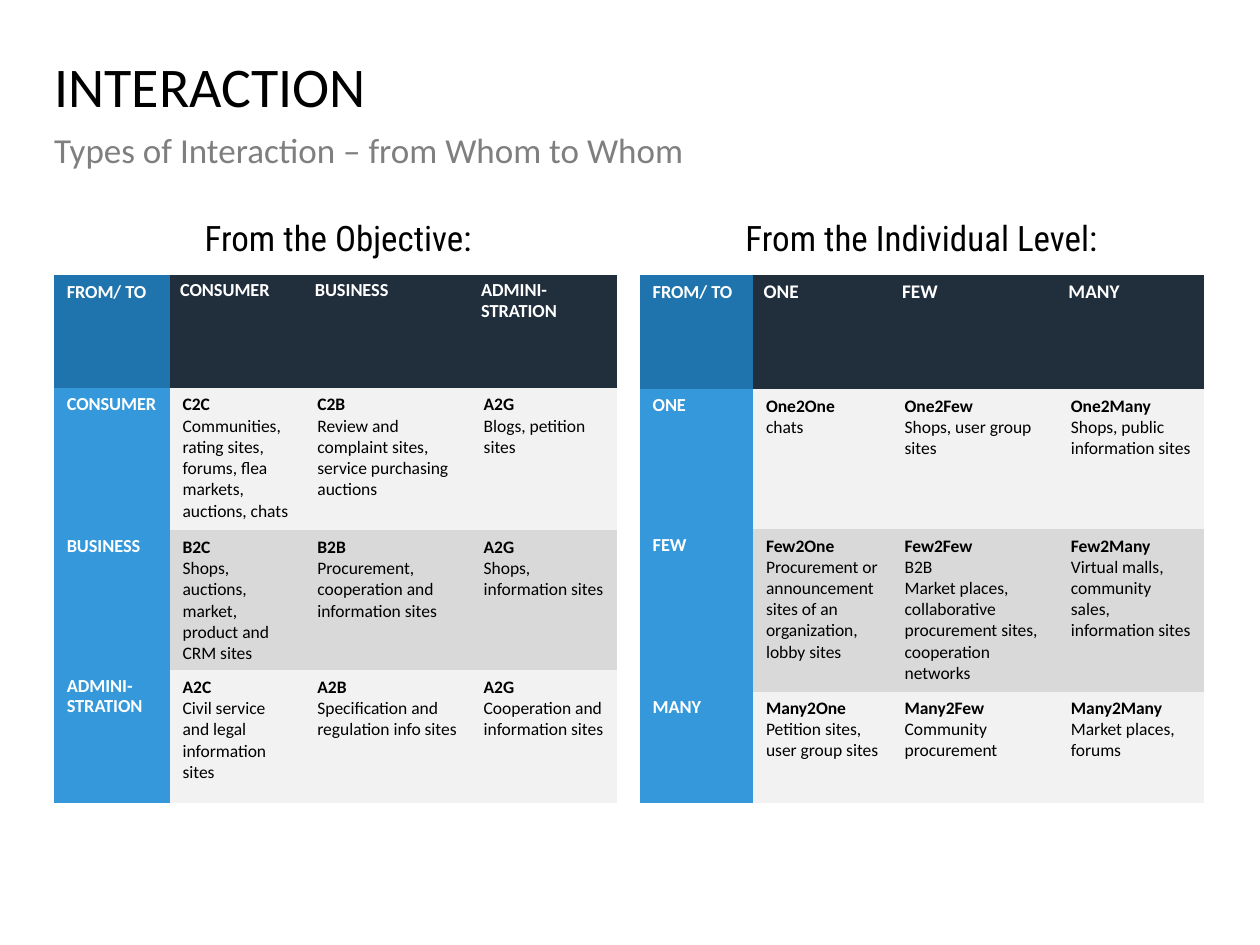
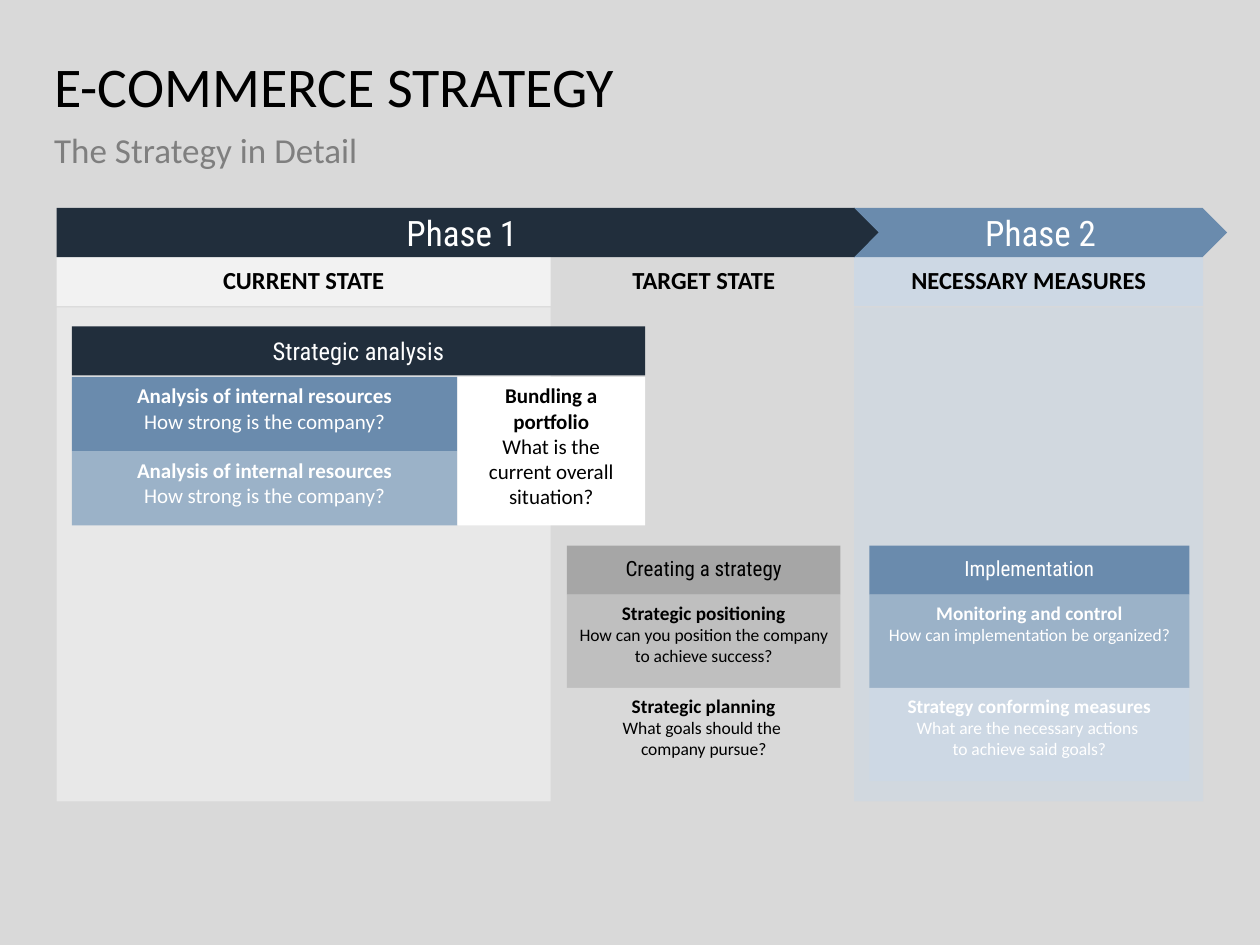
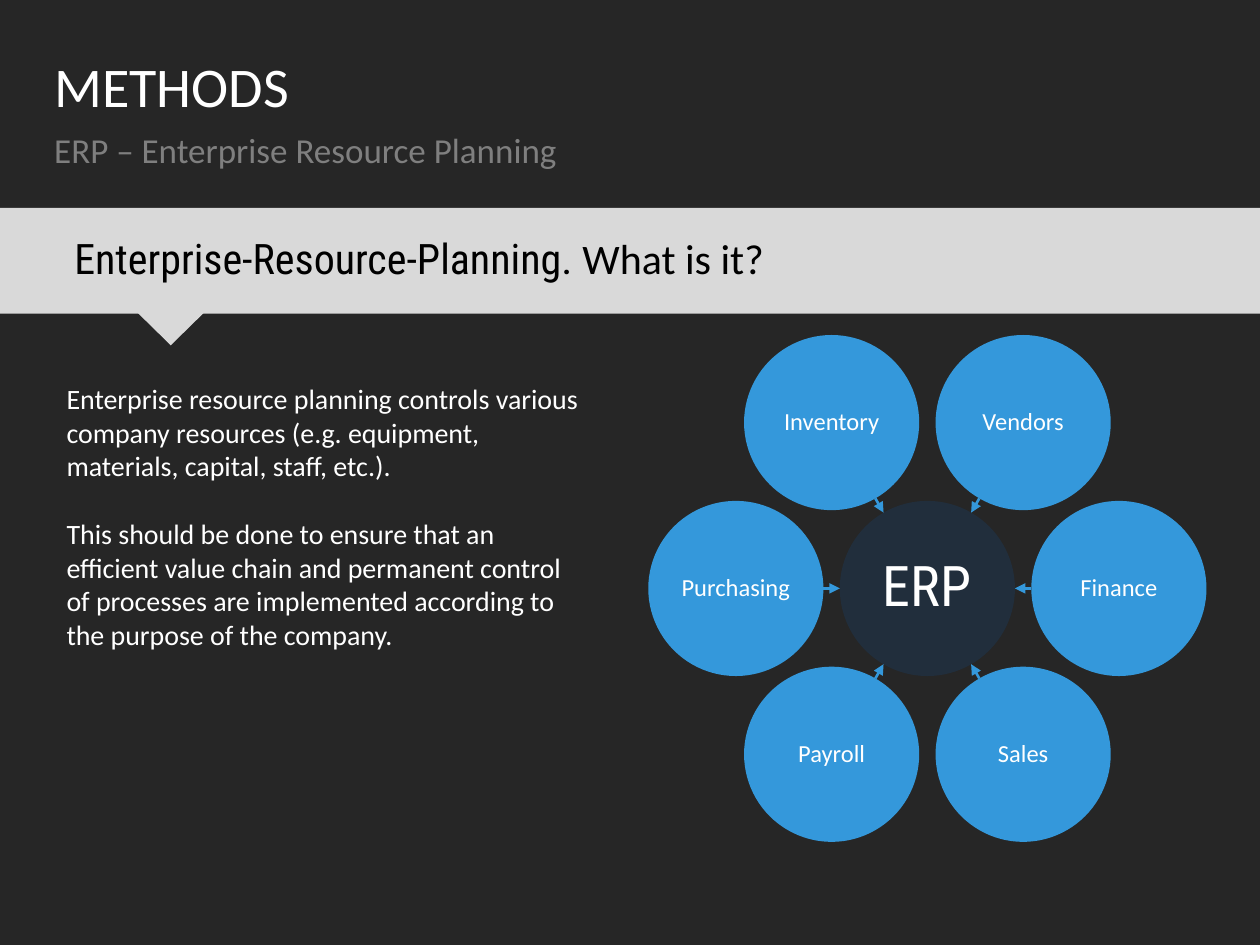
from math import cos, radians, sin

from lxml.etree import SubElement
from pptx import Presentation
from pptx.dml.color import RGBColor
from pptx.enum.shapes import MSO_CONNECTOR, MSO_SHAPE as SHAPE
from pptx.enum.text import MSO_ANCHOR as ANCHOR, MSO_AUTO_SIZE, PP_ALIGN as ALIGN
from pptx.oxml.ns import qn
from pptx.util import Inches, Pt

WHITE = RGBColor(0xFF, 0xFF, 0xFF)
BLACK = RGBColor(0, 0, 0)
CHARCOAL = RGBColor(0x26, 0x26, 0x26)
GRAY = RGBColor(0x7F, 0x7F, 0x7F)
MID_GRAY = RGBColor(0xA6, 0xA6, 0xA6)
SILVER = RGBColor(0xBF, 0xBF, 0xBF)
LIGHT = RGBColor(0xD9, 0xD9, 0xD9)
PALE = RGBColor(0xF2, 0xF2, 0xF2)
NAVY = RGBColor(0x21, 0x2E, 0x3C)
BLUE = RGBColor(0x34, 0x98, 0xDB)
DEEP_BLUE = RGBColor(0x1F, 0x74, 0xAD)
STEEL = RGBColor(0x6A, 0x8B, 0xAD)
SOFT_STEEL = RGBColor(0x9B, 0xB2, 0xC8)
ICE = RGBColor(0xCD, 0xD8, 0xE4)

BODY = "Calibri"
DISPLAY = "Roboto Condensed"
NO_GRID = "{2D5ABB26-0587-4C30-8999-92F81FD0307C}"
LEFT = 0.43
BAND_TOP = 1.65


class Deck:
    def __init__(self):
        self.prs = Presentation()
        self.prs.slide_width, self.prs.slide_height = Inches(10), Inches(7.5)
        self.s = None

    def slide(self, title, subtitle, back=WHITE, ink=BLACK):
        self.s = self.prs.slides.add_slide(self.prs.slide_layouts[1])
        self.s.background.fill.solid()
        self.s.background.fill.fore_color.rgb = back
        heads = ((title, 0.47, 1.18, 32, ink), (subtitle, 1.06, 0.59, 20, GRAY))
        for sp, (text, top, height, size, color) in zip(self.s.placeholders, heads):
            self.place(sp, (LEFT, top, 9.13, height))
            tf = sp.text_frame
            self.frame(tf, (0, 0), ANCHOR.TOP)
            pPr = tf.paragraphs[0]._p.get_or_add_pPr()
            pPr.set("marL", "0")
            pPr.set("indent", "0")
            SubElement(pPr, qn("a:buNone"))
            self.paragraphs(tf, [text], ALIGN.LEFT, 0.9, size=size, color=color)

    def place(self, sp, box):
        for name, value in zip(("left", "top", "width", "height"), box):
            setattr(sp, name, Inches(value))

    def frame(self, tf, inset, anchor):
        dx, dy = map(Inches, inset)
        values = {"word_wrap": True, "auto_size": MSO_AUTO_SIZE.NONE,
                  "vertical_anchor": anchor, "margin_left": dx,
                  "margin_right": dx, "margin_top": dy, "margin_bottom": dy}
        for name, value in values.items():
            setattr(tf, name, value)

    def paragraphs(self, tf, paras, align=ALIGN.CENTER, spacing=1.0, gap=0, **fmt):
        for i, para in enumerate(paras):
            p = tf.add_paragraph() if i else tf.paragraphs[0]
            p.alignment, p.line_spacing = align, spacing
            p.space_before = Pt(gap if i else 0)
            runs = [(para, {})] if isinstance(para, str) else para
            for text, extra in runs:
                self.runs(p, text, {**fmt, **extra})

    def runs(self, p, text, fmt):
        values = {"name": BODY, "bold": False, **fmt}
        color = values.pop("color")
        values["size"] = Pt(values["size"])
        for i, line in enumerate(text.split("\v")):
            if i:
                br = SubElement(p._p, qn("a:br"))
                SubElement(br, qn("a:rPr"), sz=str(values["size"].centipoints))
            r = p.add_run()
            r.text = line
            for name, value in values.items():
                setattr(r.font, name, value)
            r.font.color.rgb = color

    def shape(self, kind, box, fill, paras=(), alpha=None, inset=(0.1, 0.05),
              anchor=ANCHOR.MIDDLE, **fmt):
        sp = self.s.shapes.add_shape(kind, *map(Inches, box))
        sp.shadow.inherit = False
        sp.fill.solid()
        sp.fill.fore_color.rgb = fill
        sp.line.fill.background()
        if alpha:
            clr = sp._element.spPr.find(qn("a:solidFill"))[0]
            SubElement(clr, qn("a:alpha"), val=str(alpha * 1000))
        if paras:
            self.frame(sp.text_frame, inset, anchor)
            self.paragraphs(sp.text_frame, paras, **fmt)
        return sp

    def text(self, box, paras, **fmt):
        tf = self.s.shapes.add_textbox(*map(Inches, box)).text_frame
        self.frame(tf, (0.1, 0.05), ANCHOR.TOP)
        self.paragraphs(tf, paras, ALIGN.LEFT, **fmt)

    def card(self, box, fill, heading, line, ink, sizes):
        bold, plain = sizes
        paras = [[(heading, {"bold": True, "size": bold})], [(line, {"size": plain})]]
        self.shape(SHAPE.RECTANGLE, box, fill, paras, anchor=ANCHOR.TOP, color=ink)

    def arrow(self, start, end):
        c = self.s.shapes.add_connector(MSO_CONNECTOR.STRAIGHT, *map(Inches, start + end))
        c.line.color.rgb = BLUE
        c.line.width = Pt(1.5)
        SubElement(c._element.spPr.find(qn("a:ln")), qn("a:tailEnd"), type="triangle")
        SubElement(c._element.spPr, qn("a:effectLst"))

    def matrix(self, left, cols, rows, header, header_size, body):
        box = (left, 2.18, sum(cols), sum(rows))
        table = self.s.shapes.add_table(len(rows), len(cols), *map(Inches, box)).table
        table._tbl.tblPr.find(qn("a:tableStyleId")).text = NO_GRID
        table.first_row = table.horz_banding = False
        for col, width in zip(table.columns, cols):
            col.width = Inches(width)
        for row, height in zip(table.rows, rows):
            row.height = Inches(height)
        label = {"size": 10.5, "bold": True, "color": WHITE}
        self.cell(table.cell(0, 0), DEEP_BLUE, ["FROM/ TO"], **label)
        for j, name in enumerate(header, 1):
            self.cell(table.cell(0, j), NAVY, [name], 0.08, spacing=0.9,
                      **{**label, "size": header_size})
        for i, (name, *entries) in enumerate(body, 1):
            self.cell(table.cell(i, 0), BLUE, [name], spacing=0.9, **label)
            for j, (code, *lines) in enumerate(entries, 1):
                self.cell(table.cell(i, j), PALE if i % 2 else LIGHT,
                          [[(code, {"bold": True})], *lines], size=10, color=BLACK)

    def cell(self, cell, fill, paras, inset=0.1, **fmt):
        cell.fill.solid()
        cell.fill.fore_color.rgb = fill
        cell.margin_left = cell.margin_right = Inches(inset)
        self.paragraphs(cell.text_frame, paras, ALIGN.LEFT, **fmt)


def interaction(deck):
    deck.slide("INTERACTION", "Types of Interaction – from Whom to Whom")
    for left, text in ((5.08, "From the Individual Level:"), (0.45, "From the Objective:")):
        deck.shape(SHAPE.RECTANGLE, (left, BAND_TOP, 4.47, 0.54), WHITE, [text],
                   inset=(0, 0), spacing=0.8, size=20, name=DISPLAY, color=BLACK)
    deck.matrix(
        LEFT, (0.92, 1.07, 1.32, 1.16), (0.9, 1.13, 1.11, 1.05),
        ("CONSUMER", "BUSINESS", "ADMINI-STRATION"), 10.5,
        (("CONSUMER",
          ("C2C", "Communities, rating sites, forums, flea markets, auctions, chats"),
          ("C2B", "Review and complaint sites, service purchasing auctions"),
          ("A2G", "Blogs, petition sites")),
         ("BUSINESS",
          ("B2C", "Shops, auctions, market, product and CRM sites"),
          ("B2B", "Procurement, cooperation and information sites"),
          ("A2G", "Shops, information sites")),
         ("ADMINI-STRATION",
          ("A2C", "Civil service and legal information sites"),
          ("A2B", "Specification and regulation info sites"),
          ("A2G", "Cooperation and information sites"))))
    deck.matrix(
        5.08, (0.9, 1.1, 1.32, 1.16), (0.91, 1.11, 1.29, 0.88),
        ("ONE", "FEW", "MANY"), 11,
        (("ONE",
          ("One2One", "chats"),
          ("One2Few", "Shops, user group sites"),
          ("One2Many", "Shops, public information sites")),
         ("FEW",
          ("Few2One", "Procurement or announcement sites of an organization, lobby sites"),
          ("Few2Few", "B2B",
           "Market places, collaborative procurement sites, cooperation networks"),
          ("Few2Many", "Virtual malls, community sales, information sites")),
         ("MANY",
          ("Many2One", "Petition sites, user group sites"),
          ("Many2Few", "Community procurement"),
          ("Many2Many", "Market places, forums"))))


def strategy(deck):
    deck.slide("E-COMMERCE STRATEGY", "The Strategy in Detail", LIGHT)
    bar = 0.39
    states = ((0.45, 3.92, PALE, "CURRENT STATE"), (4.38, 2.41, LIGHT, "TARGET STATE"),
              (6.78, 2.77, ICE, "NECESSARY MEASURES"))
    for left, width, fill, name in states:
        deck.shape(SHAPE.RECTANGLE, (left, 2.44, width, 3.92), fill, alpha=60)
        deck.shape(SHAPE.RECTANGLE, (left, 2.04, width, bar), fill, [name],
                   inset=(0.04, 0.04), spacing=0.9, size=14, bold=True, color=BLACK)
    phases = ((SHAPE.PENTAGON, 0.45, 6.53, NAVY, "Phase 1"),
              (SHAPE.CHEVRON, 6.78, 2.96, STEEL, "Phase 2"))
    for kind, left, width, fill, name in phases:
        deck.shape(kind, (left, BAND_TOP, width, bar), fill, [name],
                   size=20, name=DISPLAY, color=WHITE)
    headers = ((0.57, 2.59, 4.55, NAVY, "Strategic analysis", 14, WHITE),
               (4.5, 4.33, 2.17, MID_GRAY, "Creating a strategy", 12, BLACK),
               (6.9, 4.33, 2.54, STEEL, "Implementation", 12, WHITE))
    for left, top, width, fill, name, size, ink in headers:
        deck.shape(SHAPE.RECTANGLE, (left, top, width, bar), fill, [name], inset=(0, 0.08),
                   anchor=ANCHOR.TOP, size=size, name=DISPLAY, color=ink)
    for i, fill in enumerate((STEEL, SOFT_STEEL)):
        deck.card((0.57, 2.99 + 0.59 * i, 3.06, 0.59), fill, "Analysis of internal resources",
                  "How strong is the company?", WHITE, (12, 12))
    deck.card((3.63, 2.99, 1.49, 1.18), WHITE, "Bundling a portfolio",
              "What is the current overall situation?", BLACK, (12, 12))
    steps = (
        (4.5, 2.17, BLACK,
         ((SILVER, "Strategic positioning",
           "How can you position the company to achieve success?"),
          (LIGHT, "Strategic planning", "What goals should the \vcompany pursue?"))),
        (6.9, 2.54, WHITE,
         ((SOFT_STEEL, "Monitoring and control", "How can implementation be organized?"),
          (ICE, "Strategy conforming measures",
           "What are the necessary actions \vto achieve said goals?"))))
    for left, width, ink, cards in steps:
        for i, (fill, heading, line) in enumerate(cards):
            deck.card((left, 4.72 + 0.74 * i, width, 0.74), fill, heading, line, ink, (11, 10))


def methods(deck):
    deck.slide("METHODS", "ERP – Enterprise Resource Planning", CHARCOAL, WHITE)
    deck.text((LEFT, 2.98, 4.34, 2.26),
              ["Enterprise resource planning controls various company resources "
               "(e.g. equipment, materials, capital, staff, etc.).",
               "This should be done to ensure that an efficient value chain and permanent "
               "control of processes are implemented according to the purpose of the company."],
              gap=19.5, size=16, color=WHITE)
    deck.shape(SHAPE.RECTANGLE, (0, BAND_TOP, 10, 0.84), LIGHT,
               [[("Enterprise-Resource-Planning. ", {"name": DISPLAY}), ("What is it?", {})]],
               inset=(0.59, 0.05), align=ALIGN.LEFT, spacing=0.9, size=24, color=BLACK)
    deck.shape(SHAPE.ISOSCELES_TRIANGLE, (1.09, 2.48, 0.53, 0.26), LIGHT).rotation = 180

    cx, cy, size, orbit = 7.36, 4.67, 1.39, 1.52
    radius = size / 2

    def point(angle, distance):
        a = radians(angle)
        return cx + distance * cos(a), cy + distance * sin(a)

    def circle(center, fill, label, **fmt):
        x, y = center
        deck.shape(SHAPE.OVAL, (x - radius, y - radius, size, size), fill, [label],
                   inset=(0, 0), spacing=0.9, color=WHITE, **fmt)

    circle((cx, cy), NAVY, "ERP", size=32, name=DISPLAY)
    areas = ("Finance", "Sales", "Payroll", "Purchasing", "Inventory", "Vendors")
    for i, area in enumerate(areas):
        circle(point(60 * i, orbit), BLUE, area, size=14)
        deck.arrow(point(60 * i, orbit - radius), point(60 * i, radius))


def main():
    deck = Deck()
    for build in (interaction, strategy, methods):
        build(deck)
    deck.prs.save("out.pptx")


if __name__ == "__main__":
    main()
